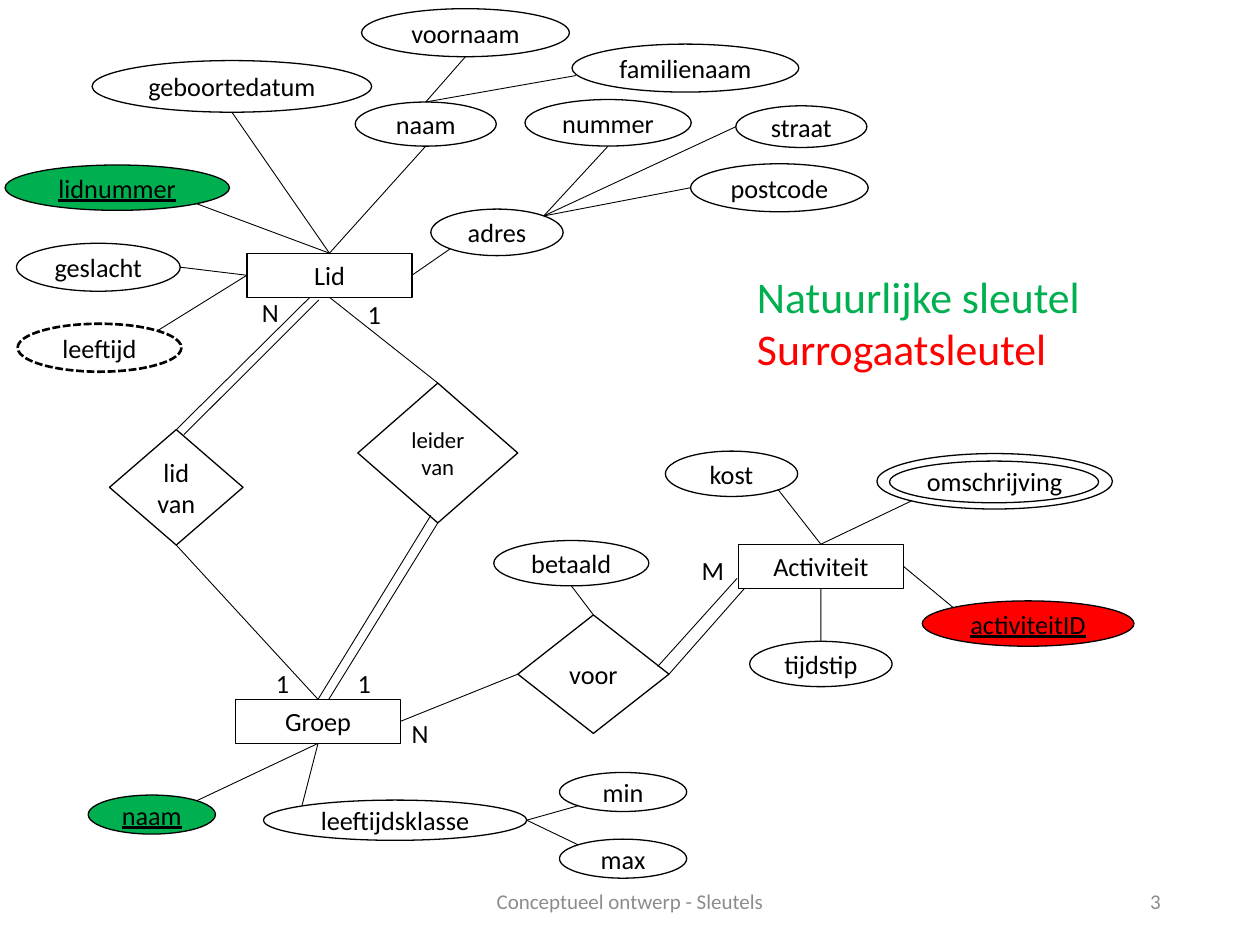
from lxml import etree
from pptx import Presentation
from pptx import util as u
from pptx.dml.color import RGBColor
from pptx.enum import dml, shapes, text
from pptx.oxml.ns import qn

THEME = dict(font="Calibri", ink="000000", white="FFFFFF", green="00B050", red="FF0000",
             grey="8C8C8C", body=15, small=13, foot=12, key=25, edge=0.75, dash=1.5, link=0.5)

ENTS = {"Lid": (141.1, 144.7), "Groep": (134.6, 399.6), "Activiteit": (421.9, 311)}
ENT_SIZE = (94.3, 25.2)
RELS = {
    "lid van": (62.6, 245.5, 76.3, 66),
    "leider van": (204.5, 218.9, 91.4, 79.9),
    "voor": (295.9, 351.4, 86.4, 67.7),
}
ATTRS = {
    "lidnummer": (2.9, 94.3, 128.2, 25.9),
    "straat": (420.5, 60.5, 74.9, 23.8),
    "nummer": (300, 56.9, 95, 26.6),
    "postcode": (394.6, 93.6, 101.5, 27.4),
    "geslacht": (9.4, 139, 93.6, 27.4),
    "groepsnaam": (50.4, 454.3, 72.7, 22.3),
    "leeftijdsklasse": (150.5, 457.2, 150.5, 23),
    "omschrijving": (501.1, 259.2, 134.6, 31.7),
    "betaald": (282.2, 308.9, 88.6, 25.9),
    "kost": (380.2, 257.8, 75.6, 25.9),
    "tijdstip": (428.4, 366.5, 81.4, 25.9),
    "min": (319.7, 441.4, 72.7, 22.3),
    "max": (319.7, 479.5, 72.7, 22.3),
    "adres": (246.2, 119.5, 75.6, 26.6),
    "leeftijd": (10.1, 185, 93.6, 27.4),
    "activiteitID": (527, 343.4, 121, 25.9),
    "naam": (203, 58.3, 80.6, 25.2),
    "geboortedatum": (52.6, 34.6, 159.8, 29.5),
    "voornaam": (206.6, 5, 118.8, 27.4),
    "familienaam": (326.9, 25.2, 129.6, 27.4),
}
INNER = (508.3, 263.5, 119.5, 23.8)
KEYS = {"lidnummer": "green", "groepsnaam": "green", "activiteitID": "red"}
NAMES = {"groepsnaam": "naam"}
CLEAR = {"leeftijdsklasse", "omschrijving", "kost", "adres", "leeftijd", "geboortedatum"}

LINKS = [
    (("straat", "l"), ("adres", "tr")), (("nummer", "b"), ("adres", "tr")),
    (("postcode", "l"), ("adres", "tr")), (("geslacht", "r"), ("Lid", "l")),
    (("leeftijd", "tr"), ("Lid", "l")), (("Lid", "r"), ("adres", "bl")),
    (("lidnummer", "br"), ("Lid", "t")), (("naam", "b"), ("Lid", "t")),
    (("geboortedatum", "b"), ("Lid", "t")), (("voornaam", "b"), ("naam", "t")),
    ((329, 43.2), ("naam", "t")), (("Groep", "b"), ("groepsnaam", "tr")),
    (("leeftijdsklasse", "tl"), ("Groep", "b")), (("min", "bl"), ("leeftijdsklasse", "r")),
    (("max", "tl"), ("leeftijdsklasse", "r")), (("lid van", "t"), (177.1, 169.9)),
    ((105.1, 248.4), (182.2, 171.4)), (("Groep", "t"), ("lid van", "b")),
    (("Lid", "b"), ("leider van", "t")), (("leider van", "b"), (187.9, 399.6)),
    ((246.2, 294.5), ("Groep", "t")), (("voor", "l"), ("Groep", "r")),
    ((425.5, 336.2), ("voor", "r")), ((421.2, 330.5), (375.8, 380.9)),
    (("betaald", "b"), ("voor", "t")), (("omschrijving", "bl"), ("Activiteit", "t")),
    (("kost", "br"), ("Activiteit", "t")), (("tijdstip", "t"), ("Activiteit", "b")),
    (("activiteitID", "tl"), ("Activiteit", "r")),
]
COUNTS = [("N", 142.6, 165.6), ("1", 150.5, 378), ("1", 203, 167), ("1", 197.3, 378),
          ("N", 228.2, 406.1), ("M", 393.8, 313.2)]
LEGEND = [("Natuurlijke sleutel", "green"), ("Surrogaatsleutel", "red")]
FOOT = [("Conceptueel ontwerp - Sleutels", (238.3, 500.4, 243.4, 28.8), "CENTER"),
        ("3", (508.3, 500.4, 162, 28.8), "RIGHT")]

SIDES = "tlbr"
STEP = {"t": (0, -1), "l": (-1, 0), "b": (0, 1), "r": (1, 0)}


def rgb(name):
    """Return a theme colour."""
    return RGBColor.from_string(THEME[name])


def write(shape, lines, color="ink", size="body", align="CENTER", anchor="MIDDLE",
          wrap=True, under=False):
    """Fill a shape with one paragraph per line."""
    frame = shape.text_frame
    frame.word_wrap = wrap
    frame.vertical_anchor = text.MSO_ANCHOR[anchor]
    for i, line in enumerate(lines):
        words, tone = line if isinstance(line, tuple) else (line, color)
        para = frame.add_paragraph() if i else frame.paragraphs[0]
        para.alignment = text.PP_ALIGN[align]
        run = para.add_run()
        run.text = words
        font = run.font
        font.name, font.size = THEME["font"], u.Pt(THEME[size])
        font.color.rgb = rgb(tone)
        if under:
            font.underline = True


def draw(slide, kind, box, fill="white", dash=False):
    """Add an outlined shape."""
    shape = slide.shapes.add_shape(shapes.MSO_SHAPE[kind], *map(u.Pt, box))
    shape.shadow.inherit = False
    if fill:
        shape.fill.solid()
        shape.fill.fore_color.rgb = rgb(fill)
    else:
        shape.fill.background()
    shape.line.color.rgb = rgb("ink")
    shape.line.width = u.Pt(THEME["dash" if dash else "edge"])
    if dash:
        shape.line.dash_style = dml.MSO_LINE.SQUARE_DOT
    return shape


def label(slide, box, lines, **style):
    """Add a text box."""
    write(slide.shapes.add_textbox(*map(u.Pt, box)), lines, **style)


def spot(end, nodes):
    """Return the point of a link end, on a node's edge or free."""
    if end[0] not in nodes:
        return [u.Pt(v) for v in end]
    node, side = nodes[end[0]], end[1]
    reach = 0.5 if len(side) == 1 else 0.5 ** 1.5
    dx, dy = (sum(STEP[s][i] for s in side) * reach for i in (0, 1))
    return [int(node.left + node.width * (0.5 + dx)), int(node.top + node.height * (0.5 + dy))]


def join(slide, start, stop, nodes):
    """Link two ends with a thin line."""
    line = slide.shapes.add_connector(shapes.MSO_CONNECTOR.STRAIGHT,
                                      *spot(start, nodes), *spot(stop, nodes))
    line.line.color.rgb = rgb("ink")
    line.line.width = u.Pt(THEME["link"])
    etree.SubElement(line.element.spPr, qn("a:effectLst"))
    for end, hook in ((start, line.begin_connect), (stop, line.end_connect)):
        if end[0] in ENTS or end[0] in RELS:
            hook(nodes[end[0]], SIDES.index(end[1]))


def main():
    """Build the diagram and save it."""
    deck = Presentation()
    deck.slide_width, deck.slide_height = u.Pt(720), u.Pt(540)
    slide = deck.slides.add_slide(deck.slide_layouts[6])
    nodes = {}
    for name, place in ENTS.items():
        nodes[name] = draw(slide, "RECTANGLE", place + ENT_SIZE, fill=None)
        write(nodes[name], [name], anchor="TOP")
    for name, box in RELS.items():
        nodes[name] = draw(slide, "DIAMOND", box)
        write(nodes[name], [name], size="small" if name == "leider van" else "body")
    for name, box in ATTRS.items():
        fill = None if name in CLEAR else KEYS.get(name, "white")
        nodes[name] = draw(slide, "OVAL", box, fill, dash=name == "leeftijd")
        write(nodes[name], [NAMES.get(name, name)], under=name in KEYS)
    draw(slide, "OVAL", INNER, fill=None)
    for start, stop in LINKS:
        join(slide, start, stop, nodes)
    for mark, x, y in COUNTS:
        label(slide, (x, y, 24, 25.2), [mark], align="LEFT", anchor="TOP", wrap=False)
    label(slide, (425.5, 150.5, 201.6, 67.7), LEGEND, size="key", align="LEFT",
          anchor="TOP", wrap=False)
    for words, box, align in FOOT:
        label(slide, box, [words], color="grey", size="foot", align=align)
    deck.save("out.pptx")


if __name__ == "__main__":
    main()
